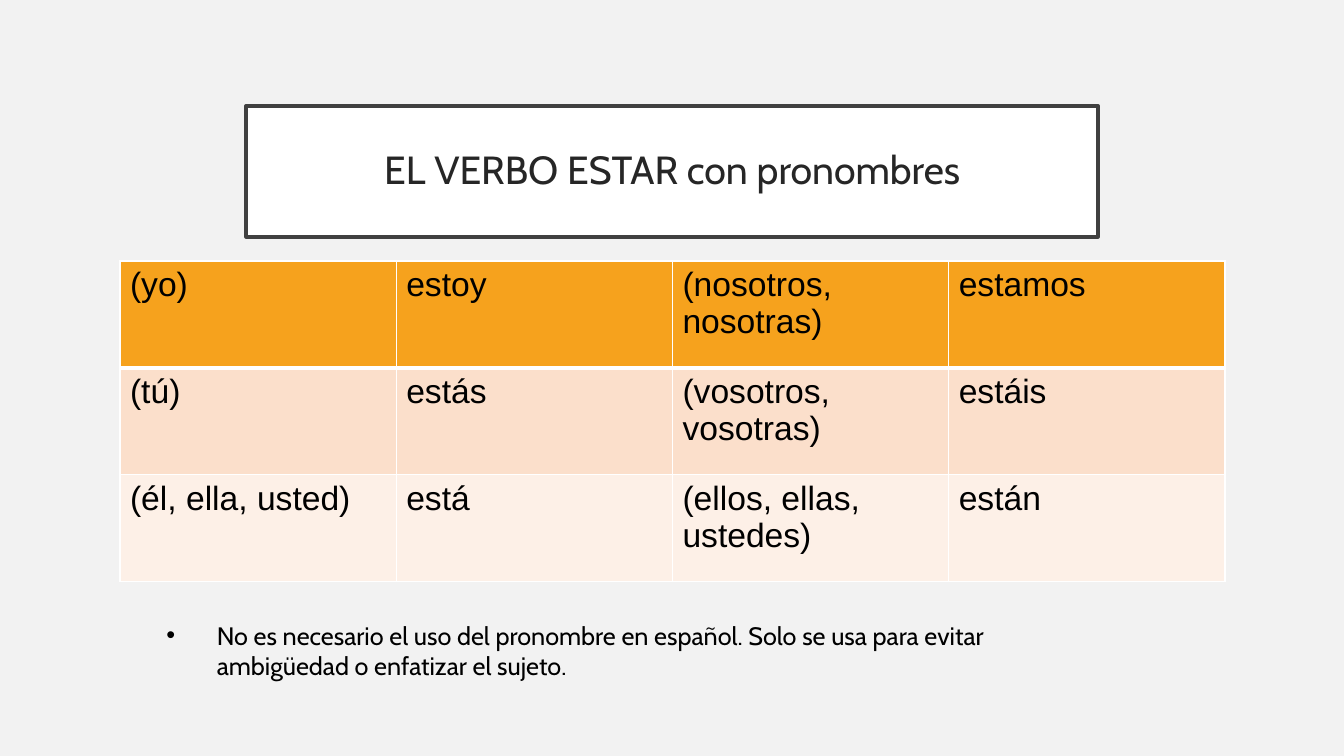
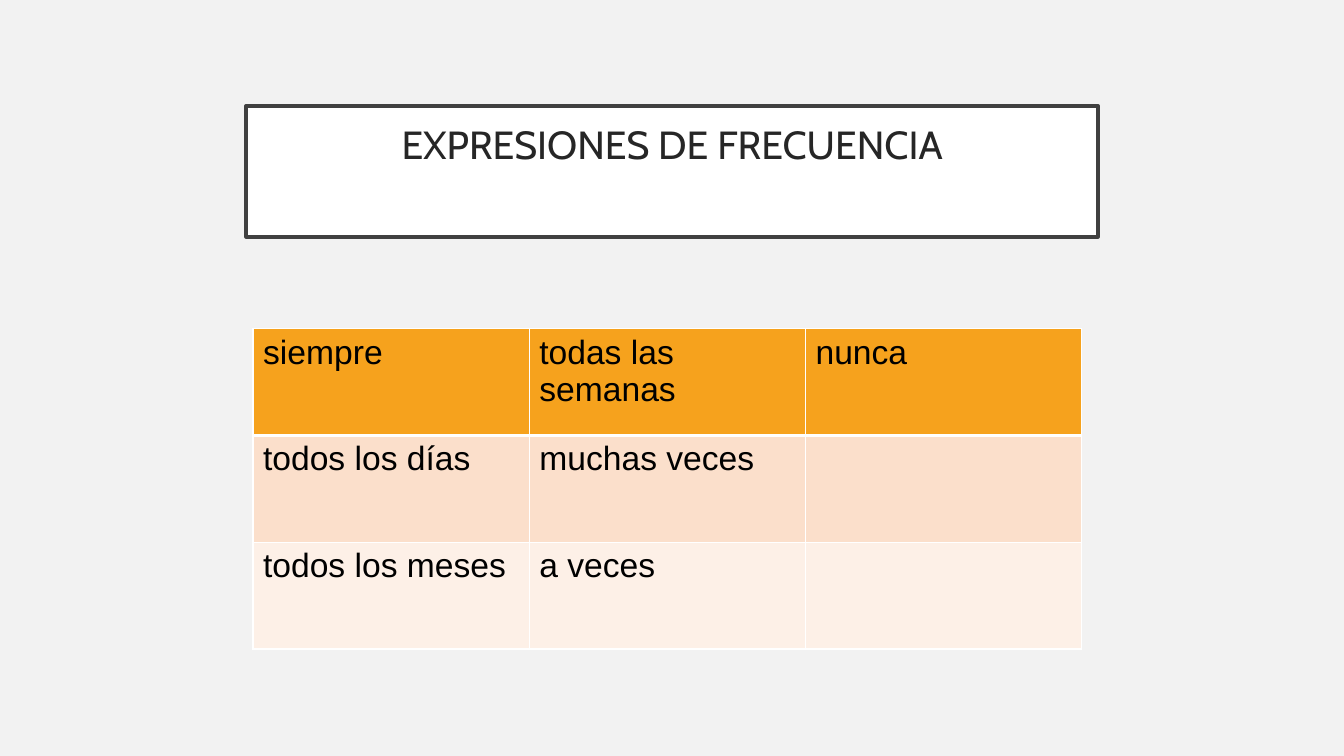
"""Build two Spanish grammar slides: the verb estar and expressions of frequency."""
from dataclasses import dataclass

from lxml.etree import SubElement
from pptx import Presentation
from pptx.dml.color import RGBColor
from pptx.enum.text import MSO_ANCHOR, MSO_AUTO_SIZE, PP_ALIGN
from pptx.oxml.ns import qn
from pptx.util import Inches, Pt


@dataclass(frozen=True)
class Theme:
    background: str = "F2F2F2"
    title_fill: str = "FFFFFF"
    title_line: str = "404040"
    title_text: str = "262626"
    text: str = "000000"
    border: str = "FFFFFF"
    row_fills: tuple = ("F6A21D", "FBDFCB", "FDF0E7")
    heading_font: str = "Cabin"
    table_font: str = "Arial"
    title_size: int = 28
    table_size: int = 24
    note_size: int = 18
    thin_border: int = 1
    header_border: int = 3
    column_width: float = 2.74
    row_height: float = 1.06


class Deck:
    TITLE_AND_BODY = 1
    TITLE_ONLY = 5

    def __init__(self, theme):
        self.theme = theme
        self.presentation = Presentation()
        self.presentation.slide_width = Inches(13.33)
        self.presentation.slide_height = Inches(7.5)
        self.fill(self.presentation.slide_master.background, theme.background)
        self.slide = None

    def add_slide(self, layout):
        self.slide = self.presentation.slides.add_slide(self.presentation.slide_layouts[layout])

    def fill(self, target, color):
        target.fill.solid()
        target.fill.fore_color.rgb = RGBColor.from_string(color)

    def place(self, shape, left, top, width, height):
        shape.left, shape.top = Inches(left), Inches(top)
        shape.width, shape.height = Inches(width), Inches(height)

    def format_runs(self, paragraph, font_name, size, color):
        for run in paragraph.runs:
            run.font.name = font_name
            run.font.size = Pt(size)
            run.font.bold = False
            run.font.color.rgb = RGBColor.from_string(color)

    def title(self, text, anchor=MSO_ANCHOR.MIDDLE):
        theme = self.theme
        shape = self.slide.shapes.title
        self.place(shape, 2.44, 1.05, 8.45, 1.3)
        self.fill(shape, theme.title_fill)
        shape.line.color.rgb = RGBColor.from_string(theme.title_line)
        shape.line.width = Pt(2.5)
        text_frame = shape.text_frame
        text_frame.text = text
        text_frame.auto_size = MSO_AUTO_SIZE.NONE
        text_frame.vertical_anchor = anchor
        text_frame.margin_left = text_frame.margin_right = Inches(0.2)
        text_frame.margin_top = text_frame.margin_bottom = Inches(0.2)
        paragraph = text_frame.paragraphs[0]
        paragraph.alignment = PP_ALIGN.CENTER
        paragraph.line_spacing = 0.9
        self.format_runs(paragraph, theme.heading_font, theme.title_size, theme.title_text)

    def border(self, cell, side, width):
        properties = cell._tc.get_or_add_tcPr()
        line = SubElement(properties, qn(f"a:ln{side}"), w=str(Pt(width)))
        SubElement(SubElement(line, qn("a:solidFill")), qn("a:srgbClr"), val=self.theme.border)

    def table(self, left, top, rows):
        theme = self.theme
        row_count, column_count = len(rows), len(rows[0])
        table = self.slide.shapes.add_table(
            row_count, column_count, Inches(left), Inches(top),
            Inches(theme.column_width * column_count), Inches(theme.row_height * row_count),
        ).table
        table.first_row = table.horz_banding = False
        for column in table.columns:
            column.width = Inches(theme.column_width)
        for row_index, texts in enumerate(rows):
            table.rows[row_index].height = Inches(theme.row_height)
            top_width = theme.header_border if row_index == 1 else theme.thin_border
            bottom_width = theme.header_border if row_index == 0 else theme.thin_border
            for column_index, text in enumerate(texts):
                cell = table.cell(row_index, column_index)
                for side, width in (("L", theme.thin_border), ("R", theme.thin_border),
                                    ("T", top_width), ("B", bottom_width)):
                    self.border(cell, side, width)
                self.fill(cell, theme.row_fills[row_index])
                cell.text_frame.text = text
                self.format_runs(cell.text_frame.paragraphs[0],
                                 theme.table_font, theme.table_size, theme.text)

    def bullet_note(self, text):
        theme = self.theme
        shape = self.slide.placeholders[1]
        self.place(shape, 1.55, 6.1, 9.62, 1.09)
        shape.text_frame.text = text
        shape.text_frame.auto_size = MSO_AUTO_SIZE.NONE
        paragraph = shape.text_frame.paragraphs[0]
        properties = paragraph._p.get_or_add_pPr()
        properties.set("marL", str(Inches(0.5)))
        properties.set("indent", str(-Inches(0.5)))
        SubElement(SubElement(properties, qn("a:buClr")), qn("a:srgbClr"), val=theme.text)
        SubElement(properties, qn("a:buFont"), typeface=theme.table_font)
        SubElement(properties, qn("a:buChar"), char="•")
        paragraph.space_before = Pt(0)
        self.format_runs(paragraph, theme.heading_font, theme.note_size, theme.text)


def main():
    deck = Deck(Theme())

    deck.add_slide(Deck.TITLE_AND_BODY)
    deck.title("EL VERBO ESTAR con pronombres")
    deck.table(1.19, 2.59, [
        ("(yo)", "estoy", "(nosotros, nosotras)", "estamos"),
        ("(tú)", "estás", "(vosotros, vosotras)", "estáis"),
        ("(él, ella, usted)", "está", "(ellos, ellas, ustedes)", "están"),
    ])
    deck.bullet_note("No es necesario el uso del pronombre en español. "
                     "Solo se usa para evitar ambigüedad o enfatizar el sujeto.")

    deck.add_slide(Deck.TITLE_ONLY)
    deck.title("EXPRESIONES DE FRECUENCIA", MSO_ANCHOR.TOP)
    deck.table(2.51, 3.26, [
        ("siempre", "todas las semanas", "nunca"),
        ("todos los días", "muchas veces", ""),
        ("todos los meses", "a veces", ""),
    ])

    deck.presentation.save("out.pptx")


if __name__ == "__main__":
    main()
